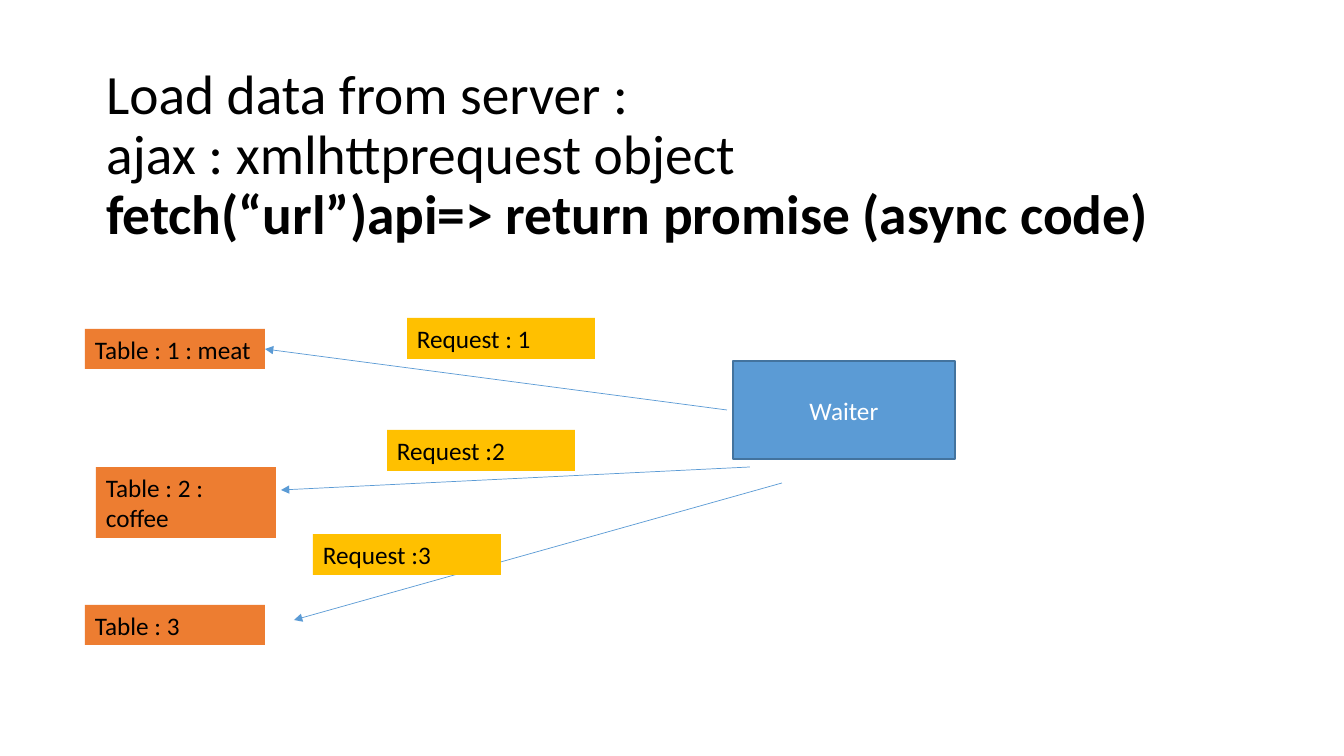
import pptx
import pptx.dml.color
import pptx.enum.shapes
import pptx.enum.text
import pptx.oxml
import pptx.oxml.ns
import pptx.util
from lxml import etree

ANCHOR = pptx.enum.text.MSO_ANCHOR
ALIGN = pptx.enum.text.PP_ALIGN
AUTO_SIZE = pptx.enum.text.MSO_AUTO_SIZE

BLACK, WHITE = "000000", "FFFFFF"
ORANGE, YELLOW = "ED7D31", "FFC000"
BLUE, DARK_BLUE = "5B9BD5", "43739E"


def px(length):
    return pptx.util.Emu(round(length * 914400 / 100.8))


def colour(value):
    return pptx.dml.color.RGBColor.from_string(value)


def apply(target, formats):
    for name, value in formats.items():
        setattr(target, name, value)


def write(paragraph, text, size, ink, bold=False):
    run = paragraph.add_run()
    run.text = text
    apply(run.font, {"name": "Calibri", "size": pptx.util.Pt(size), "bold": bold})
    run.font.color.rgb = colour(ink)


def fill_title(title, lines):
    apply(title, {"left": px(96), "top": px(111), "width": px(1159), "height": px(146)})
    # The deep bottom margin lifts the heading above the diagram
    apply(title.text_frame, {"word_wrap": True, "auto_size": AUTO_SIZE.NONE,
                             "vertical_anchor": ANCHOR.MIDDLE, "margin_bottom": px(60)})
    heading = title.text_frame.paragraphs[0]
    apply(heading, {"alignment": ALIGN.LEFT, "line_spacing": 0.9})
    for index, (text, bold) in enumerate(lines):
        if index:
            heading.add_line_break()
        write(heading, text, 39.6, BLACK, bold)


def add_box(slide, text, left, top, width, height, fill, ink=BLACK, outline=None,
            align=ALIGN.LEFT, anchor=ANCHOR.TOP, fit=AUTO_SIZE.SHAPE_TO_FIT_TEXT):
    box = slide.shapes.add_shape(pptx.enum.shapes.MSO_SHAPE.RECTANGLE,
                                 px(left), px(top), px(width), px(height))
    box.shadow.inherit = False
    box.fill.solid()
    box.fill.fore_color.rgb = colour(fill)
    if outline:
        box.line.color.rgb = colour(outline)
        box.line.width = pptx.util.Pt(1)
    else:
        box.line.fill.background()
    apply(box.text_frame, {"word_wrap": True, "auto_size": fit, "vertical_anchor": anchor})
    label = box.text_frame.paragraphs[0]
    label.alignment = align
    write(label, text, 18, ink)
    return box


def add_arrow(slide, start, end):
    arrow = slide.shapes.add_connector(pptx.enum.shapes.MSO_CONNECTOR.STRAIGHT,
                                       *map(px, start + end))
    arrow.line.color.rgb = colour(BLUE)
    arrow.line.width = pptx.util.Pt(0.5)
    head = etree.SubElement(arrow.line._get_or_add_ln(), pptx.oxml.ns.qn("a:tailEnd"))
    head.set("type", "triangle")
    etree.SubElement(arrow._element.spPr, pptx.oxml.ns.qn("a:effectLst"))
    return arrow


def main():
    deck = pptx.Presentation()
    apply(deck, {"slide_width": px(1344), "slide_height": px(756)})
    slide = deck.slides.add_slide(deck.slide_layouts[5])

    fill_title(slide.shapes.title, [
        ("Load data from server :", False),
        ("ajax : xmlhttprequest object", False),
        ("fetch(“url”)api=> return promise (async code)", True),
    ])

    # Tables, evenly spaced down the left side
    orders = [("Table : 1 : meat", 85, 40), ("Table : 2 : coffee", 96, 71),
              ("Table : 3", 85, 40)]
    tables = [add_box(slide, text, left, 329 + 138 * row, 180, height, ORANGE)
              for row, (text, left, height) in enumerate(orders)]

    # Waiter who serves them
    add_box(slide, "Waiter", 733, 361, 222, 98, BLUE, WHITE, DARK_BLUE,
            ALIGN.CENTER, ANCHOR.MIDDLE, AUTO_SIZE.NONE)

    # Arrows from the waiter, each with its request lying over it
    requests = [
        ("Request : 1", (407, 318), (727, 410), (265, 349)),
        ("Request :2", (387, 430), (750, 467), (281, 490)),
        ("Request :3", (313, 534), (782, 483), (294, 620)),
    ]
    arrows = []
    for text, corner, start, end in requests:
        arrows.append(add_arrow(slide, start, end))
        add_box(slide, text, *corner, 188, 41, YELLOW)
    arrows[0].end_connect(tables[0], 3)

    deck.save("out.pptx")


if __name__ == "__main__":
    main()
